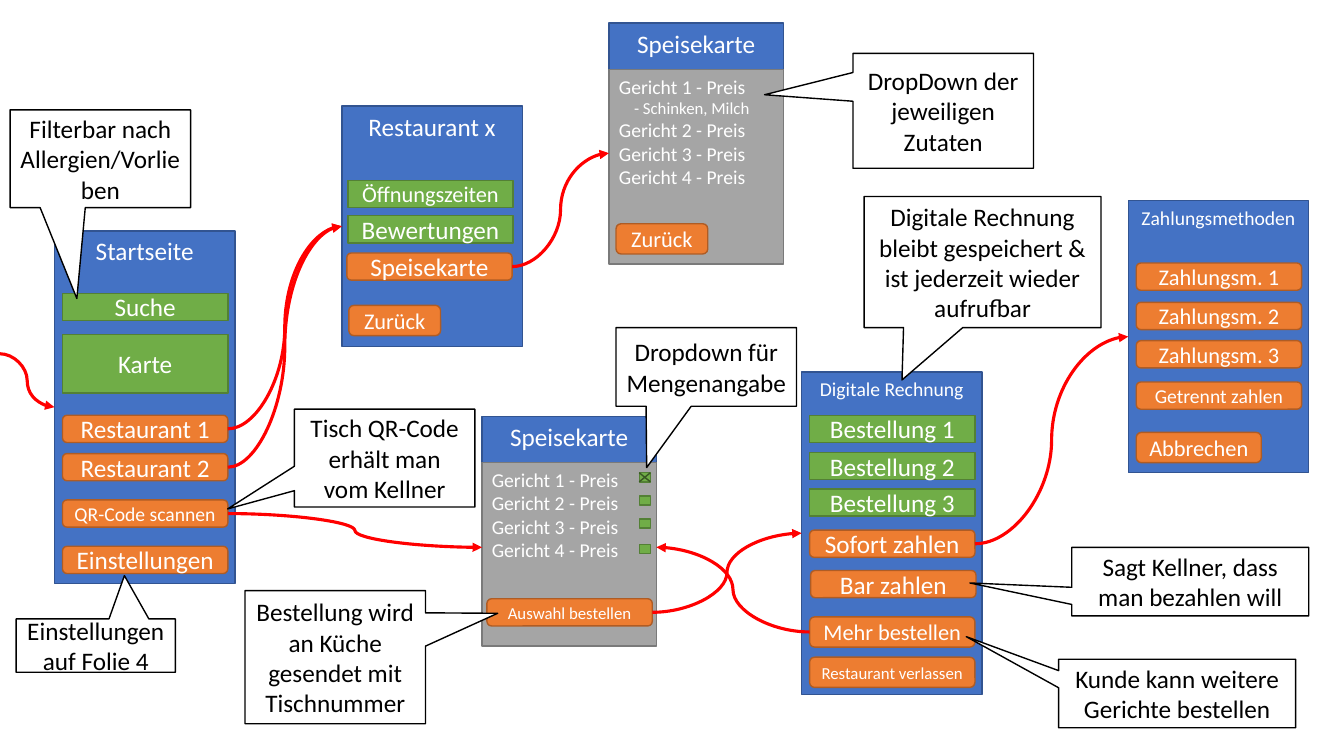
from lxml import etree
from pptx import Presentation
from pptx.dml.color import RGBColor
from pptx.enum.shapes import MSO_CONNECTOR, MSO_SHAPE
from pptx.enum.text import MSO_ANCHOR, PP_ALIGN
from pptx.oxml.ns import qn
from pptx.util import Inches, Pt

RECT = MSO_SHAPE.RECTANGLE
ROUNDED = MSO_SHAPE.ROUNDED_RECTANGLE
CALLOUT = MSO_SHAPE.RECTANGULAR_CALLOUT
CURVE, STRAIGHT = MSO_CONNECTOR.CURVE, MSO_CONNECTOR.STRAIGHT
TOP, MIDDLE = MSO_ANCHOR.TOP, MSO_ANCHOR.MIDDLE
LEFT, CENTER = PP_ALIGN.LEFT, PP_ALIGN.CENTER
LEFT_SIDE, RIGHT_SIDE = 1, 3

# Preset, fill, line and text colour of each kind of part
SCREEN = (RECT, "4472C4", "325491", "FFFFFF")
LIST = (RECT, "A5A5A5", "7A7A7A", "FFFFFF")
FIELD = (RECT, "70AD47", "538035", "FFFFFF")
BUTTON = (ROUNDED, "ED7D31", "AF5C24", "FFFFFF")
NOTE = (CALLOUT, "FFFFFF", "000000", "000000")


def color(hex_code):
    """Turn a hex string into a colour."""
    return RGBColor.from_string(hex_code)


def add_part(slide, style, box, text="", size=18, anchor=MIDDLE, align=CENTER):
    """Add one styled shape with text at box (left, top, width, height)."""
    preset, fill, line, text_color = style
    part = slide.shapes.add_shape(preset, *map(Inches, box))
    part.shadow.inherit = False
    part.fill.solid()
    part.fill.fore_color.rgb = color(fill)
    part.line.color.rgb = color(line)
    part.line.width = Pt(1)
    frame = part.text_frame
    frame.text = text
    frame.word_wrap = True
    frame.vertical_anchor = anchor
    for paragraph in frame.paragraphs:
        paragraph.alignment = align
        for run in paragraph.runs:
            run.font.size = Pt(size)
            run.font.name = "Calibri"
            run.font.color.rgb = color(text_color)
    return part


def add_line(slide, kind, start, end, line_color, width):
    """Add a connector without shadow between two points."""
    line = slide.shapes.add_connector(kind, *map(Inches, (*start, *end)))
    line.line.color.rgb = color(line_color)
    line.line.width = Pt(width)
    etree.SubElement(line._element.spPr, qn("a:effectLst"))
    return line


def add_screen(slide, box, title, title_size, rows):
    """Draw an app screen; rows hold style, text, size, top offset and
    optionally height, width and left offset. Return its parts by text."""
    left, top = box[:2]
    parts = {title: add_part(slide, SCREEN, box, title, title_size, TOP)}
    for style, text, size, dy, *extra in rows:
        height, width, dx = (*extra, *(0.27, 1.64, 0.08)[len(extra):])
        row_box = (left + dx, top + dy, width, height)
        parts[text] = add_part(slide, style, row_box, text, size)
    return parts


def add_menu(slide, box, list_height, dishes, button):
    """Draw a menu screen: header, list of dishes and one button."""
    left, top, width, _ = box
    text, size, dx, dy, button_width, button_height = button
    add_part(slide, SCREEN, box, "Speisekarte", 18, TOP)
    dish_list = add_part(slide, LIST, (left, top + 0.46, width, list_height),
                         "\n".join(dishes), 14, TOP, LEFT)
    for paragraph in dish_list.text_frame.paragraphs:
        if paragraph.text.startswith("-"):
            paragraph.runs[0].font.size = Pt(12)
            paragraph._p.get_or_add_pPr().set("marL", str(Inches(0.15)))
    button_box = (left + dx, top + dy, button_width, button_height)
    return add_part(slide, BUTTON, button_box, text, size)


def add_checkboxes(slide, left, tops):
    """Draw a column of checkboxes, the first one crossed."""
    width, height = 0.11, 0.09
    for top in tops:
        add_part(slide, FIELD, (left, top, width, height))
    top, right, bottom = tops[0], left + width, tops[0] + height
    add_line(slide, STRAIGHT, (left, top), (right, bottom), "385723", 1)
    add_line(slide, STRAIGHT, (right, top), (left, bottom), "385723", 1)


def add_note(slide, box, tip, text):
    """Draw a callout; tip is its offset from the centre in box sizes."""
    note = add_part(slide, NOTE, box, text)
    note.adjustments[0], note.adjustments[1] = tip


def add_flow(slide, start, end):
    """Draw a red curved arrow; each end is a point or (part, side)."""
    def point(place):
        part, side = place
        if isinstance(part, (int, float)):
            return place
        x = part.left + (part.width if side == RIGHT_SIDE else 0)
        return x / Inches(1), (part.top + part.height / 2) / Inches(1)

    flow = add_line(slide, CURVE, point(start), point(end), "FF0000", 2.25)
    etree.SubElement(flow.line._get_or_add_ln(), qn("a:tailEnd"), type="triangle")
    for place, connect in ((start, flow.begin_connect), (end, flow.end_connect)):
        if not isinstance(place[0], (int, float)):
            connect(*place)


prs = Presentation()
prs.slide_width, prs.slide_height = Inches(13.33), Inches(7.5)
slide = prs.slides.add_slide(prs.slide_layouts[6])
dishes = [f"Gericht {n} - Preis" for n in range(1, 5)]

order = add_menu(slide, (4.78, 4.13, 1.73, 2.25), 1.82, dishes,
                 ("Auswahl bestellen", 12, 0.05, 1.81, 1.64, 0.27))
add_checkboxes(slide, 6.34, (4.69, 4.92, 5.15, 5.4))
bill = add_screen(slide, (7.95, 3.69, 1.79, 3.2), "Digitale Rechnung", 14, [
    (FIELD, "Bestellung 1", 18, 0.43),
    (FIELD, "Bestellung 2", 18, 0.8),
    (FIELD, "Bestellung 3", 18, 1.16),
    (BUTTON, "Sofort zahlen", 18, 1.57),
    (BUTTON, "Bar zahlen", 18, 1.97, 0.27, 1.64, 0.09),
    (BUTTON, "Mehr bestellen", 16, 2.43, 0.3),
    (BUTTON, "Restaurant verlassen", 12, 2.83, 0.3),
])
restaurant = add_screen(slide, (3.39, 1.05, 1.79, 2.39), "Restaurant x", 18, [
    (FIELD, "Öffnungszeiten", 16, 0.74, 0.27, 1.64, 0.06),
    (FIELD, "Bewertungen", 18, 1.09, 0.27, 1.64, 0.06),
    (BUTTON, "Speisekarte", 18, 1.46, 0.27, 1.64, 0.05),
    (BUTTON, "Zurück", 16, 1.98, 0.3, 0.91, 0.07),
])
payment = add_screen(slide, (11.19, 1.99, 1.79, 2.7), "Zahlungsmethoden", 14, [
    (BUTTON, "Zahlungsm. 1", 16, 0.62),
    (BUTTON, "Zahlungsm. 2", 16, 1.01),
    (BUTTON, "Zahlungsm. 3", 16, 1.39),
    (BUTTON, "Getrennt zahlen", 14, 1.8),
    (BUTTON, "Abbrechen", 16, 2.3, 0.3, 1.24),
])
home = add_screen(slide, (0.54, 2.29, 1.79, 3.5), "Startseite", 18, [
    (FIELD, "Suche", 18, 0.62),
    (FIELD, "Karte", 18, 1.03, 0.58),
    (BUTTON, "Restaurant 1", 18, 1.83),
    (BUTTON, "Restaurant 2", 18, 2.21),
    (BUTTON, "QR-Code scannen", 14, 2.67),
    (BUTTON, "Einstellungen", 18, 3.13),
])
add_menu(slide, (6.04, 0.23, 1.73, 2.25), 1.93,
         [dishes[0], "- Schinken, Milch", *dishes[1:]],
         ("Zurück", 16, 0.07, 1.99, 0.91, 0.3))

for box, tip, text in (
    ((2.43, 5.86, 1.79, 1.32), (0.9, -0.33),
     "Bestellung wird an Küche gesendet mit Tischnummer"),
    ((8.57, 1.95, 2.35, 1.3), (-0.34, 0.9),
     "Digitale Rechnung bleibt gespeichert & ist jederzeit wieder aufrufbar"),
    ((10.63, 5.43, 2.35, 0.68), (-0.93, 0.02), "Sagt Kellner, dass man bezahlen will"),
    ((10.5, 6.54, 2.35, 0.68), (-0.89, -0.83), "Kunde kann weitere Gerichte bestellen"),
    ((0.1, 1.09, 1.79, 0.97), (-0.13, 1.43), "Filterbar nach Allergien/Vorlieben"),
    ((2.92, 4.06, 1.79, 0.97), (-0.87, 0.52), "Tisch QR-Code erhält man vom Kellner"),
    ((6.11, 3.25, 1.79, 0.78), (-0.33, 1.28), "Dropdown für Mengenangabe"),
    ((8.46, 0.53, 1.79, 1.14), (-0.99, -0.14), "DropDown der jeweiligen Zutaten"),
    ((0.16, 6.14, 1.58, 0.53), (0.18, -1.31), "Einstellungen auf Folie 4"),
):
    add_note(slide, box, tip, text)

for start, end in (
    ((0, 3.51), (home["Startseite"], LEFT_SIDE)),
    ((home["Restaurant 1"], RIGHT_SIDE), (restaurant["Restaurant x"], LEFT_SIDE)),
    ((home["Restaurant 2"], RIGHT_SIDE), (restaurant["Restaurant x"], LEFT_SIDE)),
    ((home["QR-Code scannen"], RIGHT_SIDE), (4.78, 5.43)),
    ((restaurant["Speisekarte"], RIGHT_SIDE), (6.04, 1.52)),
    ((order, RIGHT_SIDE), (bill["Digitale Rechnung"], LEFT_SIDE)),
    ((bill["Mehr bestellen"], LEFT_SIDE), (6.51, 5.43)),
    ((bill["Sofort zahlen"], RIGHT_SIDE), (payment["Zahlungsmethoden"], LEFT_SIDE)),
):
    add_flow(slide, start, end)

prs.save("out.pptx")
